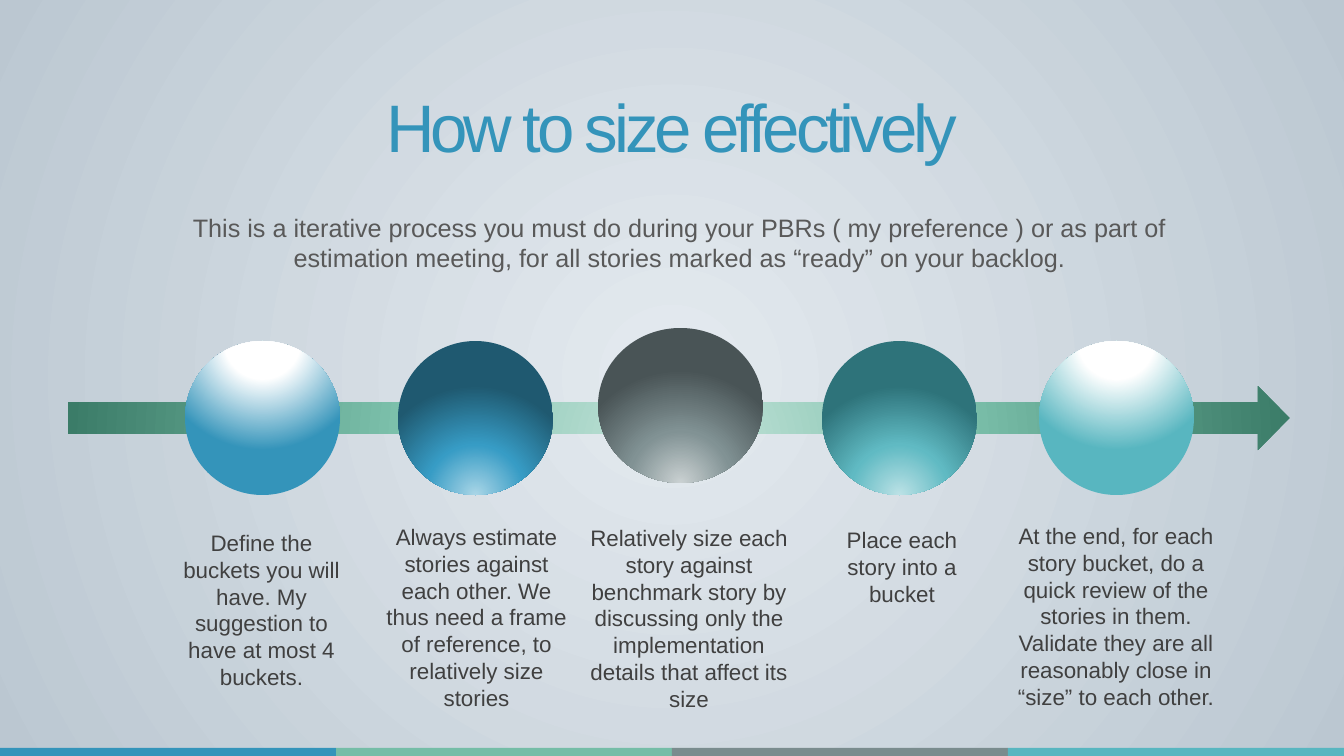
from lxml import etree
from pptx import Presentation
from pptx import util as u
from pptx.dml.color import RGBColor
from pptx.enum import shapes, text
from pptx.oxml.ns import qn

WIDTH, HEIGHT = 1344, 756
EMU_PER_PX = 12192000 / WIDTH


class Theme:
    font = "Arial"
    title_size, intro_size, body_size = 48, 18, 16
    title_color, intro_color, body_color = "3494BA", "595959", "404040"
    stripes = ["3494BA", "75BDA7", "7A8C8E", "58B6C0"]
    # Gradient stops: (position in percent, colour)
    background = [(0, "E4EAEF"), (100, "BBC7D1")]
    arrow = [(0, "C8E5DC"), (46, "7CC0AB"), (100, "3B7C68")]
    bright_blue = [(0, "FFFFFF"), (35, "FFFFFF"), (100, "3494BA")]
    deep_blue = [(0, "AAD6E7"), (46, "379CC5"), (100, "1F5970")]
    deep_gray = [(0, "CAD1D2"), (46, "819294"), (100, "495456")]
    deep_teal = [(0, "BCE2E6"), (46, "60BAC3"), (100, "2E737A")]
    bright_teal = [(0, "FFFFFF"), (35, "FFFFFF"), (100, "58B6C0")]
    # Vertical centre of the radial gradients, in percent
    middle, from_above, from_below = 50, -80, 130


# Gradient, circle left/top/width/height, caption left/top/width/height, caption
STEPS = [
    (Theme.bright_blue, Theme.from_above, (185, 341, 155, 154), (169, 524, 185, 173),
     "Define the buckets you will have. My suggestion to have at most 4 buckets."),
    (Theme.deep_blue, Theme.from_below, (398, 341, 155, 154), (376, 518, 201, 228),
     "Always estimate stories against each other. We thus need a frame of "
     "reference, to relatively size stories"),
    (Theme.deep_gray, Theme.from_below, (598, 328, 165, 155), (580, 519, 218, 201),
     "Relatively size each story against benchmark story by discussing only the "
     "implementation details that affect its size"),
    (Theme.deep_teal, Theme.from_below, (822, 341, 155, 154), (817, 521, 170, 92),
     "Place each story into a bucket"),
    (Theme.bright_teal, Theme.from_above, (1039, 341, 155, 154), (1007, 517, 218, 201),
     "At the end, for each story bucket, do a quick review of the stories in them. "
     "Validate they are all reasonably close in “size” to each other."),
]


def px(n):
    return u.Emu(round(n * EMU_PER_PX))


def radial_fill(owner, fill, stops, center_y):
    """Turn the fill of a shape or background into a circular gradient."""
    fill.gradient()
    grad = next(owner.element.iter(qn("a:gradFill")))
    for child in list(grad):
        grad.remove(child)
    stop_list = etree.SubElement(grad, qn("a:gsLst"))
    for position, color in stops:
        stop = etree.SubElement(stop_list, qn("a:gs"), pos=str(position * 1000))
        etree.SubElement(stop, qn("a:srgbClr"), val=color)
    circle = etree.SubElement(grad, qn("a:path"), path="circle")
    etree.SubElement(circle, qn("a:fillToRect"), l="50000", t=str(center_y * 1000),
                     r="50000", b=str((100 - center_y) * 1000))


def add_shape(s, kind, box):
    sp = s.shapes.add_shape(kind, *map(px, box))
    sp.shadow.inherit = False
    sp.line.fill.background()
    return sp


def add_text(s, box, content, size, color, spacing=0):
    tf = s.shapes.add_textbox(*map(px, box)).text_frame
    tf.word_wrap = True
    tf.auto_size = text.MSO_AUTO_SIZE.SHAPE_TO_FIT_TEXT
    tf.text = content
    p = tf.paragraphs[0]
    p.alignment = text.PP_ALIGN.CENTER
    r = p.runs[0]
    r.font.name = Theme.font
    r.font.size = u.Pt(size)
    r.font.color.rgb = RGBColor.from_string(color)
    if spacing:
        r._r.get_or_add_rPr().set("spc", str(spacing * 100))


def add_stripes(s):
    width = WIDTH // len(Theme.stripes)
    for i, color in enumerate(Theme.stripes):
        sp = add_shape(s, shapes.MSO_SHAPE.RECTANGLE, (i * width, 748, width, 8))
        sp.fill.solid()
        sp.fill.fore_color.rgb = RGBColor.from_string(color)


def add_step(s, stops, center_y, circle_box, caption_box, caption):
    sp = add_shape(s, shapes.MSO_SHAPE.OVAL, circle_box)
    radial_fill(sp, sp.fill, stops, center_y)
    add_text(s, caption_box, caption, Theme.body_size, Theme.body_color)


def main():
    prs = Presentation()
    prs.slide_width, prs.slide_height = px(WIDTH), px(HEIGHT)
    s = prs.slides.add_slide(prs.slide_layouts[6])

    # Background and bottom stripes
    radial_fill(s, s.background.fill, Theme.background, Theme.middle)
    add_stripes(s)

    # Title and introduction
    add_text(s, (0, 80, WIDTH, 92), "How to size effectively",
             Theme.title_size, Theme.title_color, spacing=-3)
    add_text(s, (166, 207, 1027, 72),
             "This is a iterative process you must do during your PBRs ( my preference ) "
             "or as part of estimation meeting, for all stories marked as “ready” on "
             "your backlog.", Theme.intro_size, Theme.intro_color)

    # Process arrow with its steps
    arrow = add_shape(s, shapes.MSO_SHAPE.RIGHT_ARROW, (68, 386, 1222, 64))
    radial_fill(arrow, arrow.fill, Theme.arrow, Theme.from_below)
    for step in STEPS:
        add_step(s, *step)

    prs.save("out.pptx")


if __name__ == "__main__":
    main()
